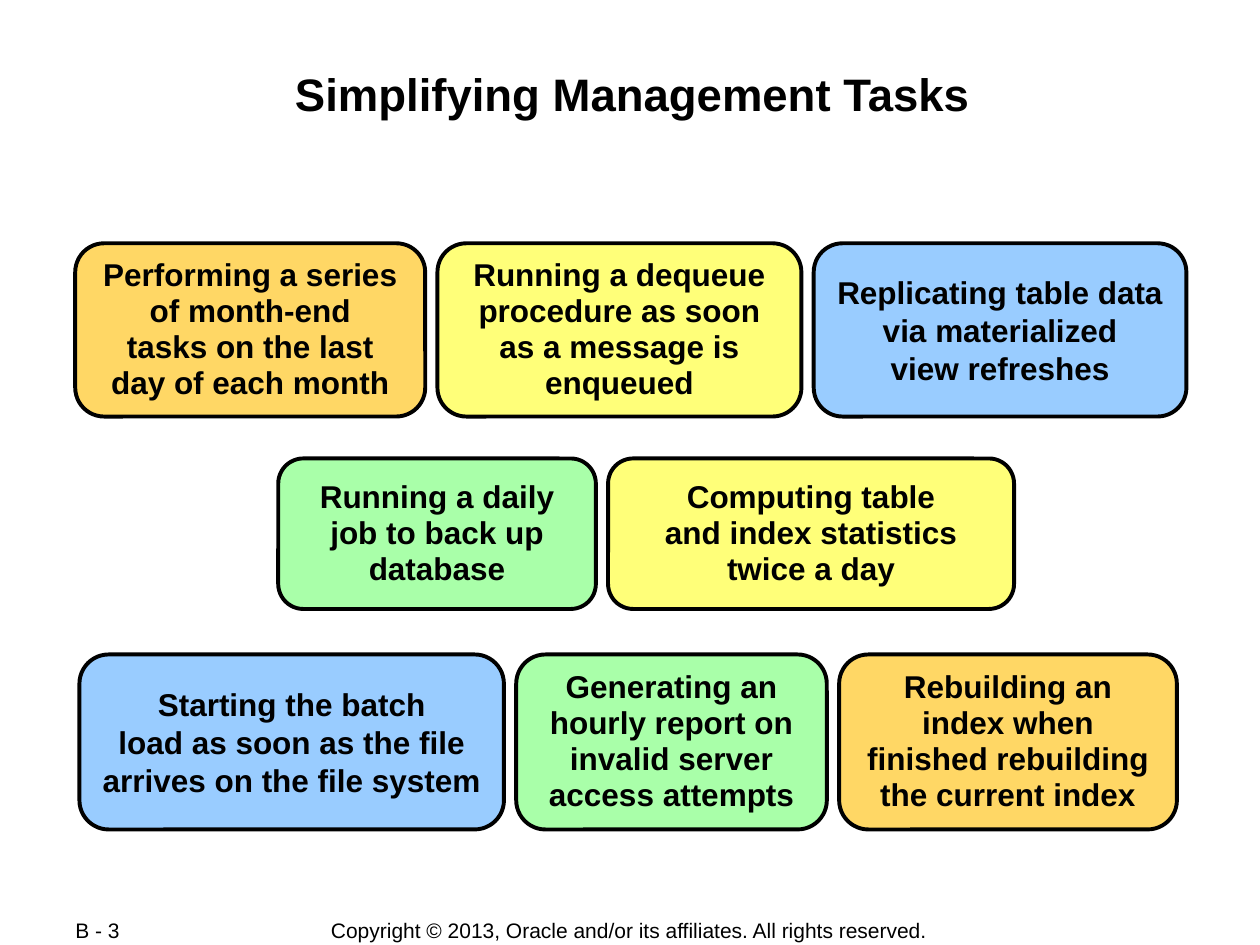
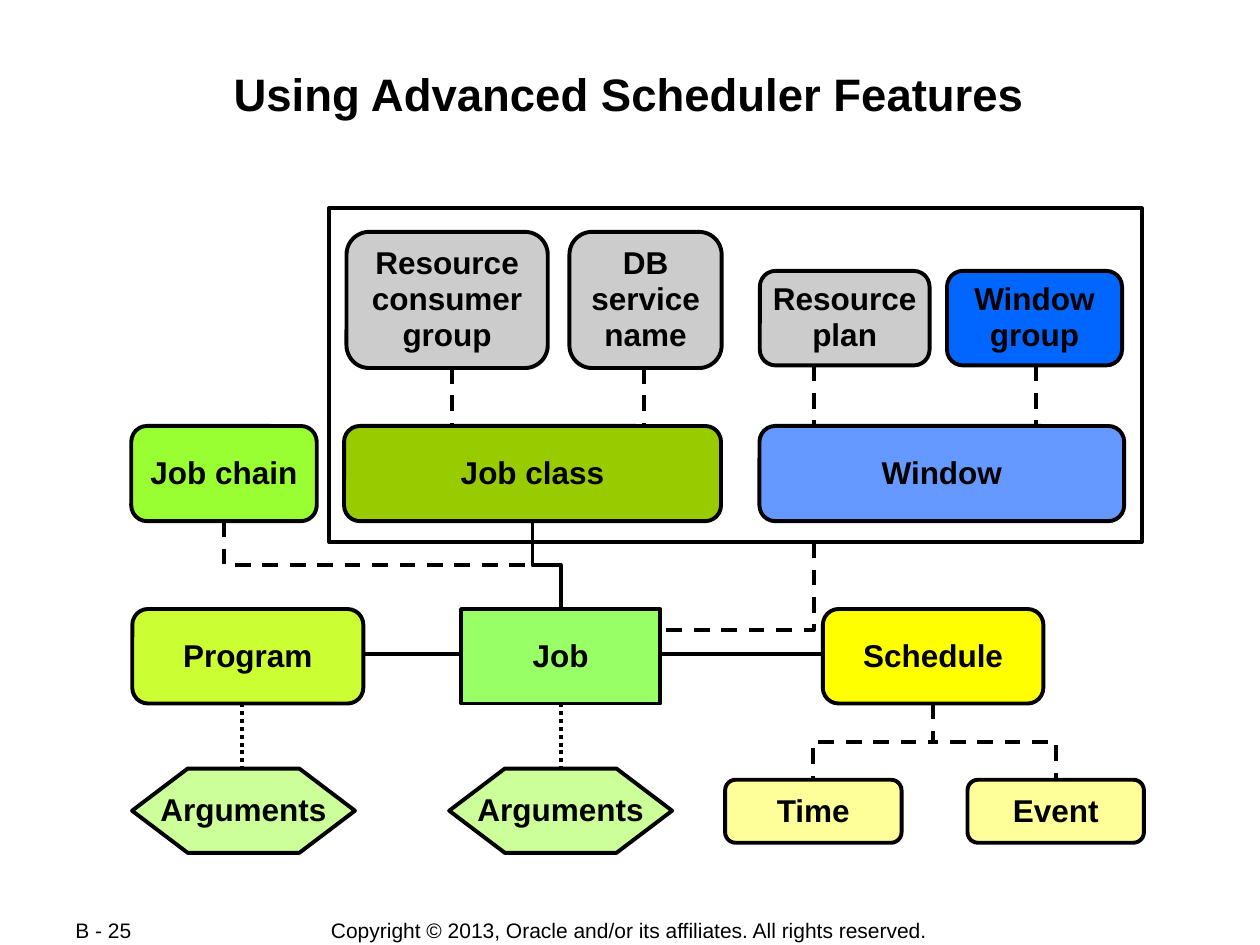
import pptx
import pptx.util
import pptx.dml.color
import pptx.enum.dml
import pptx.enum.shapes
import pptx.enum.text
import pptx.oxml.ns
import lxml.etree

Pt = pptx.util.Pt
SHAPE = pptx.enum.shapes.MSO_SHAPE
CONNECTOR = pptx.enum.shapes.MSO_CONNECTOR
ALIGN = pptx.enum.text.PP_ALIGN
ANCHOR = pptx.enum.text.MSO_ANCHOR
DASHED = pptx.enum.dml.MSO_LINE.DASH
DOTTED = pptx.enum.dml.MSO_LINE.ROUND_DOT
SOLID = None

COLORS = {
    "black": "000000", "white": "FFFFFF", "gray": "CCCCCC",
    "orange": "FFD765", "yellow": "FFFF79", "sky": "99CCFF", "mint": "A9FFA9",
    "job": "99FF66", "program": "CCFF33", "arguments": "CCFF99",
    "schedule": "FFFF00", "trigger": "FFFF99", "chain": "99FF33",
    "class": "99CC00", "window": "6699FF", "window group": "0066FF",
}
FONT = "Arial"
COPYRIGHT = "Copyright © 2013, Oracle and/or its affiliates. All rights reserved."
LINE_WIDTH = 2.25
TIGHT, NORMAL = 0.95, 1.0

TASK_GAP = 7
TASK_ROWS = [
    {"left": 43, "top": 139, "height": 99, "tasks": [
        ("Performing a series\nof month-end\ntasks on the last\nday of each month", "orange", 200, TIGHT),
        ("Running a dequeue\nprocedure as soon\nas a message is\nenqueued", "yellow", 208, TIGHT),
        ("Replicating table data\nvia materialized\nview refreshes", "sky", 213, NORMAL)]},
    {"left": 159, "top": 262, "height": 86, "tasks": [
        ("Running a daily\njob to back up\ndatabase", "mint", 181.5, TIGHT),
        ("Computing table\nand index statistics\ntwice a day", "yellow", 232, TIGHT)]},
    {"left": 45.4, "top": 374, "height": 100, "tasks": [
        ("Starting the batch\nload as soon as the file\narrives on the file system", "sky", 242.6, NORMAL),
        ("Generating an\nhourly report on\ninvalid server\naccess attempts", "mint", 177.5, TIGHT),
        ("Rebuilding an\nindex when\nfinished rebuilding\nthe current index", "orange", 193, TIGHT)]},
]

SCHEDULER_FRAME = (188, 119, 464.4, 190.8)
SCHEDULER_ROWS = [
    (132.5, 77.8, SHAPE.ROUNDED_RECTANGLE, [
        ("consumer group", "Resource\nconsumer\ngroup", "gray", 198, 115),
        ("service", "DB\nservice\nname", "gray", 325.4, 87)]),
    (154.8, 54, SHAPE.ROUNDED_RECTANGLE, [
        ("plan", "Resource\nplan", "gray", 434.2, 97),
        ("window group", "Window\ngroup", "window group", 541.2, 100)]),
    (243.4, 54.4, SHAPE.ROUNDED_RECTANGLE, [
        ("chain", "Job chain", "chain", 75, 106),
        ("class", "Job class", "class", 196.6, 215.4),
        ("window", "Window", "window", 434, 208.4)]),
    (348, 54, SHAPE.ROUNDED_RECTANGLE, [
        ("program", "Program", "program", 75.6, 132),
        ("schedule", "Schedule", "schedule", 470.2, 126)]),
    (348, 54, SHAPE.RECTANGLE, [
        ("job", "Job", "job", 263.5, 113.8)]),
    (439.2, 48.2, SHAPE.HEXAGON, [
        ("program arguments", "Arguments", "arguments", 75.5, 127.4),
        ("job arguments", "Arguments", "arguments", 256.7, 127.4)]),
    (445.6, 36, SHAPE.ROUNDED_RECTANGLE, [
        ("time", "Time", "trigger", 414.4, 100.8),
        ("event", "Event", "trigger", 552.9, 100.8)]),
]
DROPS = [
    ("consumer group", "class", 258.5, DASHED),
    ("service", "class", 368, DASHED),
    ("plan", "window", 465, DASHED),
    ("window group", "window", 592, DASHED),
    ("program", "program arguments", 138.2, DOTTED),
    ("job", "job arguments", 320.4, DOTTED),
]
ELBOWS = [
    ("chain", "job", DASHED),
    ("class", "job", SOLID),
    ("schedule", "time", DASHED),
    ("schedule", "event", DASHED),
]


def color(name):
    return pptx.dml.color.RGBColor.from_string(COLORS[name])


def write(shape, text, size, bold, alignment, anchor, inset, spacing=NORMAL):
    frame = shape.text_frame
    frame.auto_size = pptx.enum.text.MSO_AUTO_SIZE.NONE
    frame.vertical_anchor = anchor
    frame.margin_left = frame.margin_right = Pt(inset)
    frame.margin_top = frame.margin_bottom = Pt(inset)
    paragraph = frame.paragraphs[0]
    paragraph.text = text
    paragraph.alignment = alignment
    paragraph.line_spacing = spacing
    paragraph.space_before = Pt(0)
    for run in paragraph.runs:
        run.font.name = FONT
        run.font.size = Pt(size)
        run.font.bold = bold
        run.font.color.rgb = color("black")
    return frame


def outline(shape, dash=SOLID):
    shape.line.color.rgb = color("black")
    shape.line.width = Pt(LINE_WIDTH)
    if dash is not SOLID:
        shape.line.dash_style = dash


def add_box(slide, kind, place, fill, text="", spacing=TIGHT):
    shape = slide.shapes.add_shape(kind, *map(Pt, place))
    shape.shadow.inherit = False
    shape.fill.solid()
    shape.fill.fore_color.rgb = color(fill)
    outline(shape)
    if kind == SHAPE.HEXAGON:
        shape.adjustments[0] = 0.66
    if text:
        frame = write(shape, text, 18, True, ALIGN.CENTER, ANCHOR.MIDDLE, 3.6, spacing)
        frame.word_wrap = False


def add_line(slide, kind, start, end, dash):
    line = slide.shapes.add_connector(kind, *map(Pt, (*start, *end)))
    lxml.etree.SubElement(line._element.spPr, pptx.oxml.ns.qn("a:effectLst"))
    outline(line, dash)
    return line


def add_vertical_elbow(slide, start, end, dash):
    (x1, y1), (x2, y2) = start, end
    center_x, center_y = (x1 + x2) / 2, (y1 + y2) / 2
    half_width, half_height = abs(y2 - y1) / 2, abs(x2 - x1) / 2
    line = add_line(slide, CONNECTOR.ELBOW,
                    (center_x - half_width, center_y - half_height),
                    (center_x + half_width, center_y + half_height), dash)
    transform = line._element.spPr.xfrm
    if x2 > x1:
        transform.set("rot", "16200000")
        transform.set("flipH", "1")
    else:
        transform.set("rot", "5400000")


def add_slide(presentation, title, title_left, page):
    slide = presentation.slides.add_slide(presentation.slide_layouts[5])
    heading = slide.shapes.title
    heading.left, heading.top, heading.width, heading.height = map(Pt, (title_left, 37, 617, 67))
    write(heading, title, 26, True, ALIGN.CENTER, ANCHOR.TOP, 0.7)
    for text, left, width, alignment in (
            (COPYRIGHT, 180, 359, ALIGN.CENTER), (page, 36, 76, ALIGN.LEFT)):
        footer = slide.shapes.add_textbox(*map(Pt, (left, 524, width, 15)))
        write(footer, text, 12, False, alignment, ANCHOR.MIDDLE, 0).word_wrap = True
        footer.text_frame.margin_left = footer.text_frame.margin_right = Pt(7.2)
    return slide


def build_tasks(slide):
    for row in TASK_ROWS:
        left = row["left"]
        for text, fill, width, spacing in row["tasks"]:
            place = (left, row["top"], width, row["height"])
            add_box(slide, SHAPE.ROUNDED_RECTANGLE, place, fill, text, spacing)
            left += width + TASK_GAP


def build_scheduler(slide):
    places = {key: (left, top, width, height)
              for top, height, kind, boxes in SCHEDULER_ROWS
              for key, text, fill, left, width in boxes}

    def bottom(key):
        left, top, width, height = places[key]
        return left + width / 2, top + height

    def top_center(key):
        left, top, width, height = places[key]
        return left + width / 2, top

    add_box(slide, SHAPE.RECTANGLE, SCHEDULER_FRAME, "white")
    middle = places["job"][1] + places["job"][3] / 2 - 1
    add_line(slide, CONNECTOR.STRAIGHT, (bottom("program")[0], middle),
             (bottom("schedule")[0], middle), SOLID)
    for upper, lower, x, dash in DROPS:
        add_line(slide, CONNECTOR.STRAIGHT, (x, bottom(upper)[1]), (x, top_center(lower)[1]), dash)
    for upper, lower, dash in ELBOWS:
        add_vertical_elbow(slide, bottom(upper), top_center(lower), dash)

    job_left, job_top, job_width, job_height = places["job"]
    frame_bottom = SCHEDULER_FRAME[1] + SCHEDULER_FRAME[3]
    window_x, job_y = 465, job_top + 12
    builder = slide.shapes.build_freeform(Pt(window_x), Pt(frame_bottom))
    builder.add_line_segments([(Pt(window_x), Pt(job_y)), (Pt(job_left + job_width), Pt(job_y))], close=False)
    window_link = builder.convert_to_shape()
    window_link.shadow.inherit = False
    window_link.fill.background()
    outline(window_link, DASHED)

    for top, height, kind, boxes in SCHEDULER_ROWS:
        for key, text, fill, left, width in boxes:
            add_box(slide, kind, places[key], fill, text)


def main():
    presentation = pptx.Presentation()
    presentation.slide_width, presentation.slide_height = Pt(720), Pt(540)
    build_tasks(add_slide(presentation, "Simplifying Management Tasks", 53, "B - 3"))
    build_scheduler(add_slide(presentation, "Using Advanced Scheduler Features", 51, "B - 25"))
    presentation.save("out.pptx")


if __name__ == "__main__":
    main()
